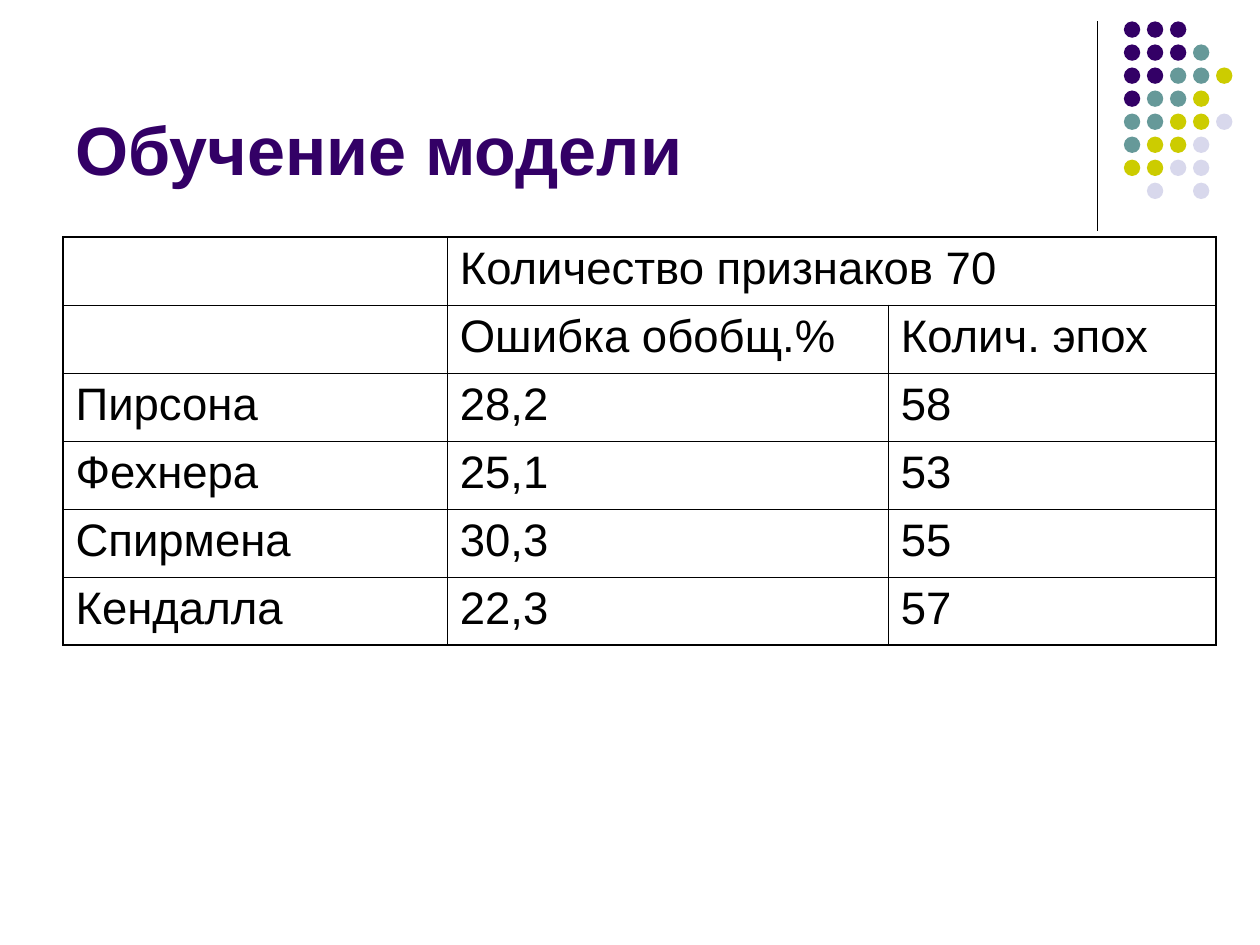
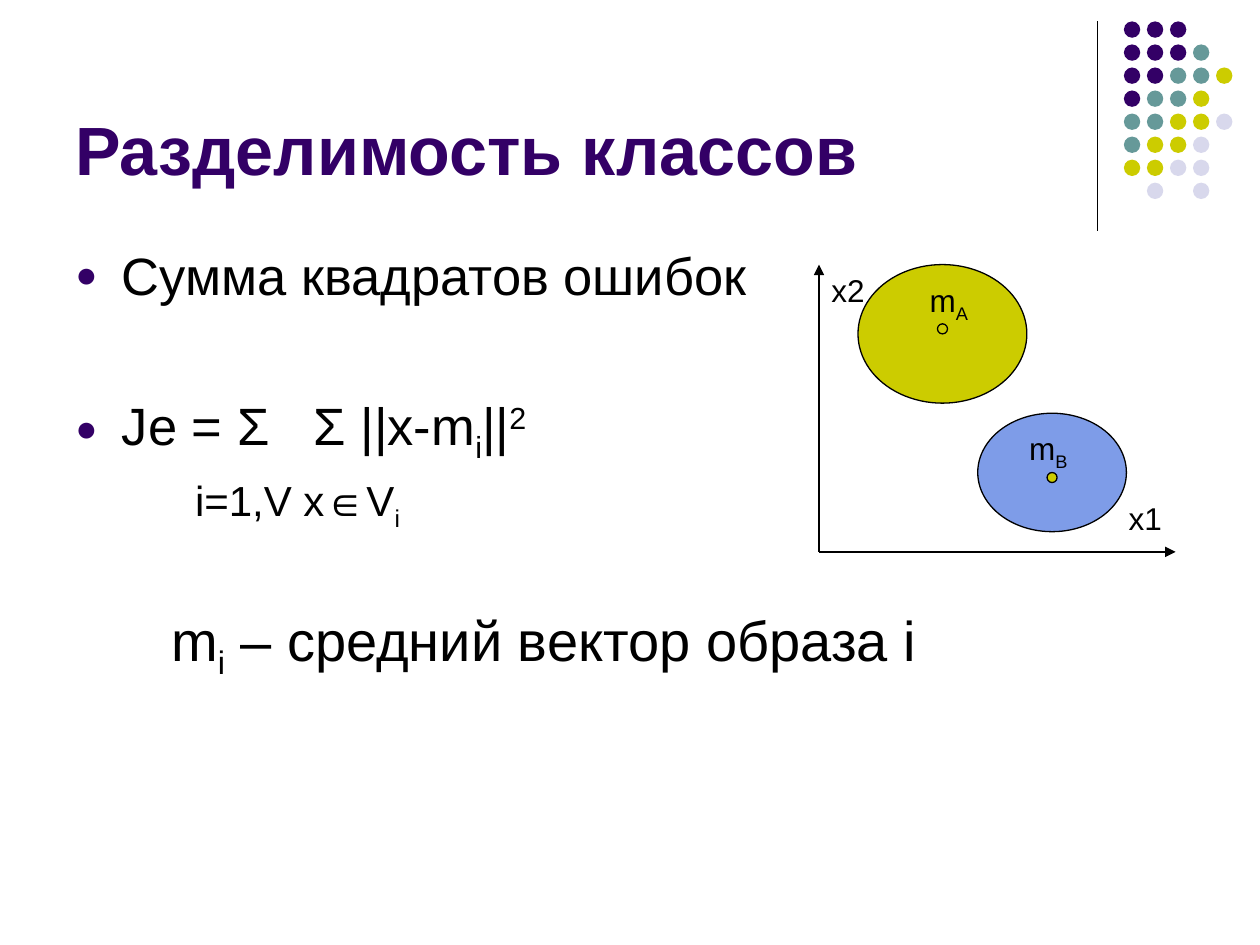
from dataclasses import dataclass
from typing import Optional

from lxml.etree import SubElement
from pptx import Presentation
from pptx.dml.color import RGBColor
from pptx.enum.shapes import MSO_CONNECTOR, MSO_SHAPE
from pptx.enum.text import MSO_ANCHOR
from pptx.oxml.ns import qn
from pptx.util import Inches, Pt

BLACK = RGBColor(0x00, 0x00, 0x00)
PURPLE = RGBColor(0x33, 0x00, 0x66)
TEAL = RGBColor(0x66, 0x99, 0x99)
OLIVE = RGBColor(0xCC, 0xCC, 0x00)
LAVENDER = RGBColor(0xD8, 0xD8, 0xEC)
BLUE = RGBColor(0x7E, 0x9C, 0xE8)

FONT = "Arial"
THIN_LINE = 0.75
INNER_BORDER = 0.45
OUTER_BORDER = 1.08

DOT_COLOURS = {"P": PURPLE, "T": TEAL, "O": OLIVE, "L": LAVENDER}
DOT_ROWS = ["PPP", "PPPT", "PPTTO", "PTTO", "TTOOL", "TOOL", "OOLL", ".L.L"]
DOT_SIZE = 0.13
DOT_PITCH = 1.28 / 7

COLUMN_WIDTHS = [3.05, 3.5, 2.6]
ROW_HEIGHT = 0.54
TABLE_ROWS = [
    ["", "Количество признаков 70", ""],
    ["", "Ошибка обобщ.%", "Колич. эпох"],
    ["Пирсона", "28,2", "58"],
    ["Фехнера", "25,1", "53"],
    ["Спирмена", "30,3", "55"],
    ["Кендалла", "22,3", "57"],
]


@dataclass
class Box:
    left: float
    top: float
    width: float
    height: float

    def lengths(self) -> list:
        return [Inches(side) for side in (self.left, self.top, self.width, self.height)]


@dataclass
class Span:
    text: str
    baseline: int = 0
    spacing: float = 0


@dataclass
class Para:
    spans: list[Span]
    size: float
    before: float = 0
    left: float = 0
    indent: float = 0
    level: int = 0
    bullet: bool = False
    bold: bool = False
    colour: RGBColor = BLACK


@dataclass
class Ellipse:
    box: Box
    fill: RGBColor
    outlined: bool = True


@dataclass
class Label:
    box: Box
    spans: list[Span]


TITLE_BOX = Box(0.5, 0.13, 8.25, 1.42)
BODY_BOX = Box(0.5, 1.88, 9, 4.82)
BODY = [
    Para([Span("Сумма квадратов ошибок")], 30, left=0.37, indent=-0.37, bullet=True),
    Para(
        [Span("Je = Σ"), Span(" ", spacing=16.7), Span("Σ ||x-m"),
         Span("i", -25), Span("||"), Span("2", 30)],
        30, before=49.5, left=0.37, indent=-0.37, bullet=True,
    ),
    Para([Span("i=1,V x∈V"), Span("i", -25)], 24, before=6, left=0.95, level=2),
    Para(
        [Span("m"), Span("i", -25), Span(" – средний вектор образа i")],
        32, before=41.6, left=1.08, indent=-0.32, level=2,
    ),
]

AXIS_ORIGIN = (6.5, 4.38)
AXIS_ENDS = [(6.5, 2.1), (9.33, 4.38)]
CLASSES = [
    Ellipse(Box(6.81, 2.1, 1.34, 1.1), OLIVE),
    Ellipse(Box(7.76, 3.28, 1.18, 0.94), BLUE),
]
CENTRES = [
    Ellipse(Box(7.44, 2.57, 0.08, 0.08), OLIVE),
    Ellipse(Box(8.31, 3.75, 0.08, 0.08), OLIVE),
]
AXIS_LABELS = [
    Label(Box(6.5, 2.1, 0.63, 0.4), [Span("х2")]),
    Label(Box(8.86, 3.91, 0.63, 0.4), [Span("х1")]),
]
CENTRE_LABELS = [
    Label(Box(7.28, 2.18, 0.79, 0.44), [Span("m"), Span("A", -25)]),
    Label(Box(8.07, 3.36, 0.79, 0.44), [Span("m"), Span("B", -25)]),
]


def write_para(target, para: Para) -> None:
    target.level = para.level
    target.space_before = Pt(para.before)
    properties = target._p.get_or_add_pPr()
    properties.set("marL", str(Inches(para.left)))
    properties.set("indent", str(Inches(para.indent)))
    if para.bullet:
        colour = SubElement(properties, qn("a:buClr"))
        SubElement(colour, qn("a:srgbClr"), val=str(PURPLE))
        SubElement(properties, qn("a:buSzPct"), val="70000")
        SubElement(properties, qn("a:buFont"), typeface=FONT)
        SubElement(properties, qn("a:buChar"), char="●")
    else:
        SubElement(properties, qn("a:buNone"))
    for span in para.spans:
        run = target.add_run()
        run.text = span.text
        run.font.name = FONT
        run.font.size = Pt(para.size)
        run.font.bold = para.bold
        run.font.color.rgb = para.colour
        run_properties = run._r.get_or_add_rPr()
        if span.baseline:
            run_properties.set("baseline", str(span.baseline * 1000))
        if span.spacing:
            run_properties.set("spc", str(round(span.spacing * 100)))


def add_text(shapes, box: Box, paras: list[Para], anchor=MSO_ANCHOR.TOP) -> None:
    frame = shapes.add_textbox(*box.lengths()).text_frame
    frame.word_wrap = True
    frame.vertical_anchor = anchor
    for number, para in enumerate(paras):
        write_para(frame.add_paragraph() if number else frame.paragraphs[0], para)


def add_line(shapes, start: tuple, end: tuple, arrow: Optional[str] = None) -> None:
    ends = [Inches(value) for value in (*start, *end)]
    line = shapes.add_connector(MSO_CONNECTOR.STRAIGHT, *ends)
    line.line.color.rgb = BLACK
    line.line.width = Pt(THIN_LINE)
    if arrow:
        SubElement(line.line._get_or_add_ln(), qn("a:tailEnd"), type=arrow)
    SubElement(line._element.spPr, qn("a:effectLst"))


def add_ellipse(shapes, ellipse: Ellipse) -> None:
    shape = shapes.add_shape(MSO_SHAPE.OVAL, *ellipse.box.lengths())
    shape.shadow.inherit = False
    shape.fill.solid()
    shape.fill.fore_color.rgb = ellipse.fill
    if ellipse.outlined:
        shape.line.color.rgb = BLACK
        shape.line.width = Pt(THIN_LINE)
    else:
        shape.line.fill.background()


def add_label(shapes, label: Label) -> None:
    add_text(shapes, label.box, [Para(label.spans, 18)])


def add_page(deck, title: str):
    page = deck.slides.add_slide(deck.slide_layouts[6])
    add_line(page.shapes, (8.71, 0.17), (8.71, 1.83))
    dots = page.shapes.add_group_shape().shapes
    for row, letters in enumerate(DOT_ROWS):
        for column, letter in enumerate(letters):
            if letter in DOT_COLOURS:
                box = Box(8.92 + column * DOT_PITCH, 0.17 + row * DOT_PITCH, DOT_SIZE, DOT_SIZE)
                add_ellipse(dots, Ellipse(box, DOT_COLOURS[letter], outlined=False))
    heading = Para([Span(title)], 39, bold=True, colour=PURPLE)
    add_text(page.shapes, TITLE_BOX, [heading], MSO_ANCHOR.BOTTOM)
    return page


def set_borders(cell, outer_sides: dict[str, bool]) -> None:
    properties = cell._tc.get_or_add_tcPr()
    for side, outer in outer_sides.items():
        width = Pt(OUTER_BORDER if outer else INNER_BORDER)
        border = SubElement(properties, qn(f"a:ln{side}"), w=str(width))
        fill = SubElement(border, qn("a:solidFill"))
        SubElement(fill, qn("a:srgbClr"), val=str(BLACK))


def add_results_table(page) -> None:
    row_count, column_count = len(TABLE_ROWS), len(COLUMN_WIDTHS)
    box = Box(0.5, 1.88, sum(COLUMN_WIDTHS), ROW_HEIGHT * row_count)
    table = page.shapes.add_table(row_count, column_count, *box.lengths()).table
    table.first_row = False
    table.horz_banding = False
    for column, width in zip(table.columns, COLUMN_WIDTHS):
        column.width = Inches(width)
    table.cell(0, 1).merge(table.cell(0, 2))
    for row, texts in enumerate(TABLE_ROWS):
        for column, text in enumerate(texts):
            cell = table.cell(row, column)
            last_column = column + cell.span_width - 1
            set_borders(cell, {
                "L": column == 0,
                "R": last_column == column_count - 1,
                "T": row == 0,
                "B": row == row_count - 1,
            })
            cell.fill.background()
            if text:
                write_para(cell.text_frame.paragraphs[0], Para([Span(text)], 26))


def add_class_diagram(page) -> None:
    plot = page.shapes.add_group_shape().shapes
    for end in AXIS_ENDS:
        add_line(plot, AXIS_ORIGIN, end, arrow="triangle")
    for ellipse in CLASSES:
        add_ellipse(plot, ellipse)
    for label in AXIS_LABELS:
        add_label(plot, label)
    for centre in CENTRES:
        add_ellipse(page.shapes, centre)
    for label in CENTRE_LABELS:
        add_label(page.shapes, label)


def main() -> None:
    deck = Presentation()
    deck.slide_width = Inches(10)
    deck.slide_height = Inches(7.5)
    add_results_table(add_page(deck, "Обучение модели"))
    separability = add_page(deck, "Разделимость классов")
    add_text(separability.shapes, BODY_BOX, BODY)
    add_class_diagram(separability)
    deck.save("out.pptx")


if __name__ == "__main__":
    main()
